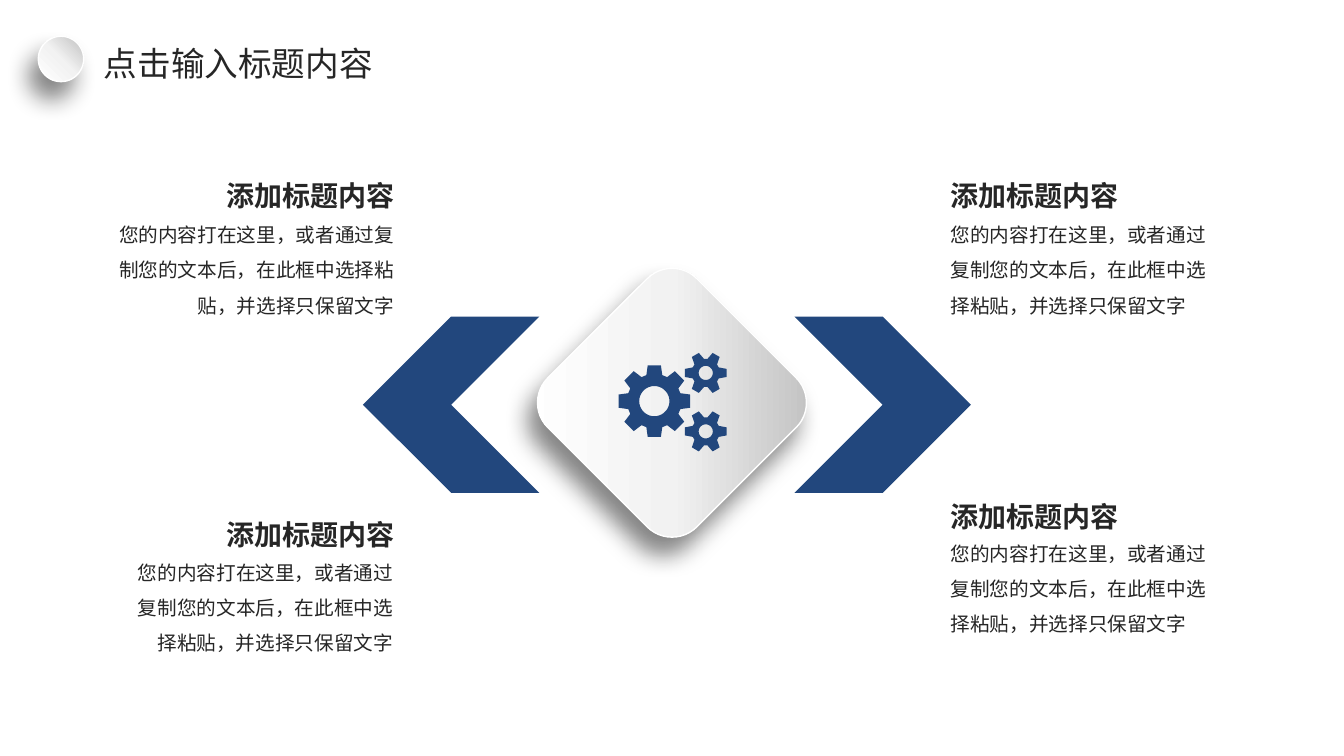
import math
from dataclasses import dataclass

from lxml import etree
from pptx import Presentation, util as u
from pptx.dml.color import RGBColor
from pptx.enum import shapes, text
from pptx.oxml.ns import nsdecls, qn

COLORS = {"ink": "262626", "navy": "22477D", "white": "FFFFFF",
          "mist": "F2F2F2", "silver": "BFBFBF", "shadow": "0D0D0D"}
FONT = "Noto Sans CJK SC"
HEADING = "添加标题内容"
DETAIL = "您的内容打在这里，或者通过复制您的文本后，在此框中选择粘贴，并选择只保留文字"
LEFT, RIGHT = text.PP_ALIGN.LEFT, text.PP_ALIGN.RIGHT
TOP, MIDDLE = text.MSO_ANCHOR.TOP, text.MSO_ANCHOR.MIDDLE
CHEVRON_SIZE, CHEVRON_TOP = 1.75, 3.14


@dataclass
class Topic:
    heading_left: float
    heading_top: float
    detail_left: float
    detail_top: float
    detail_width: float
    align: text.PP_ALIGN


@dataclass
class Gear:
    """Centre and radii in inches; half-angles of tooth tip and base in degrees."""
    x: float
    y: float
    tip: float
    root: float
    hole: float
    teeth: int
    tip_half: float
    root_half: float


TOPICS = [
    Topic(1.32, 1.77, 1.08, 2.3, 2.93, RIGHT),
    Topic(9.33, 1.77, 9.33, 2.3, 2.77, LEFT),
    Topic(1.32, 5.13, 1.15, 5.65, 2.85, RIGHT),
    Topic(9.33, 4.96, 9.33, 5.46, 2.77, LEFT),
]
GEARS = [Gear(6.49, 3.98, 0.36, 0.27, 0.15, 8, 10.5, 17)] + [
    Gear(7, y, 0.21, 0.14, 0.07, 6, 11, 23) for y in (3.7, 4.28)]


def rgb(name: str) -> RGBColor:
    return RGBColor.from_string(COLORS[name])


def place(shape, left: float, top: float, width: float, height: float) -> None:
    box = {"left": left, "top": top, "width": width, "height": height}
    for side, inches in box.items():
        setattr(shape, side, u.Inches(inches))


def write(shape, words: str, size: int, align: text.PP_ALIGN, anchor: text.MSO_ANCHOR,
          margins: tuple[float, float], bold: bool = False, wrap: bool = True,
          spacing: float = 1.0) -> None:
    """Fill a shape with one paragraph; margins are (sides, top and bottom)."""
    frame = shape.text_frame
    side, edge = (u.Inches(margin) for margin in margins)
    frame_format = {"auto_size": text.MSO_AUTO_SIZE.NONE, "word_wrap": wrap,
                    "vertical_anchor": anchor, "margin_left": side,
                    "margin_right": side, "margin_top": edge, "margin_bottom": edge}
    for name, value in frame_format.items():
        setattr(frame, name, value)
    paragraph = frame.paragraphs[0]
    paragraph.alignment, paragraph.line_spacing = align, spacing
    run = paragraph.add_run()
    run.text = words
    for name, value in {"name": FONT, "size": u.Pt(size), "bold": bold}.items():
        setattr(run.font, name, value)
    run.font.color.rgb = rgb("ink")
    east_asian = etree.SubElement(run.font._element, qn("a:ea"))
    east_asian.set("typeface", FONT)


def paint_navy(shape) -> None:
    shape.shadow.inherit = False
    shape.fill.solid()
    shape.fill.fore_color.rgb = rgb("navy")
    shape.line.fill.background()


def add_glossy(parent, preset: shapes.MSO_SHAPE, left: float, top: float,
               size: float, rotation: float = 0):
    """Add a silver-to-white shape with a white rim and a soft shadow."""
    shape = parent.add_shape(preset, *map(u.Inches, (left, top, size, size)))
    shape.rotation = rotation
    shape.shadow.inherit = False
    shape.line.color.rgb = rgb("white")
    shape.line.width = u.Pt(1)
    shape.fill.gradient()
    gradient = shape._element.spPr.find(qn("a:gradFill"))
    stops = "".join(
        f'<a:gs pos="{position * 1000}"><a:srgbClr val="{COLORS[name]}"/></a:gs>'
        for position, name in ((0, "silver"), (50, "mist"), (100, "white")))
    gradient.getparent().replace(gradient, etree.fromstring(
        f'<a:gradFill {nsdecls("a")} rotWithShape="1"><a:gsLst>{stops}</a:gsLst>'
        f'<a:lin ang="{135 * 60000}" scaled="0"/></a:gradFill>'))
    shape._element.spPr.find(qn("a:effectLst")).append(etree.fromstring(
        f'<a:outerShdw {nsdecls("a")} blurRad="{u.Pt(17)}" dist="{u.Pt(14)}" '
        f'dir="{120 * 60000}" algn="ctr" rotWithShape="0">'
        f'<a:srgbClr val="{COLORS["shadow"]}"><a:alpha val="50000"/></a:srgbClr>'
        f'</a:outerShdw>'))
    return shape


def gear_contours(gear: Gear) -> list[list[tuple[int, int]]]:
    def point(radius: float, degrees: float) -> tuple[int, int]:
        angle = math.radians(degrees)
        return (u.Inches(gear.x + radius * math.cos(angle)),
                u.Inches(gear.y + radius * math.sin(angle)))

    tooth = ((gear.root, -gear.root_half), (gear.tip, -gear.tip_half),
             (gear.tip, gear.tip_half), (gear.root, gear.root_half))
    rim = [point(radius, 360 / gear.teeth * index + offset)
           for index in range(gear.teeth) for radius, offset in tooth]
    hole = [point(gear.hole, -degrees) for degrees in range(0, 360, 10)]
    return [rim, hole]


def add_gears(parent) -> None:
    contours = [contour for gear in GEARS for contour in gear_contours(gear)]
    builder = parent.build_freeform(*contours[0][0])
    for contour in contours:
        builder.move_to(*contour[0])
        builder.add_line_segments(contour[1:], close=True)
    paint_navy(builder.convert_to_shape())


def add_topic(parent, topic: Topic) -> None:
    detail = parent.add_textbox(0, 0, 0, 0)
    place(detail, topic.detail_left, topic.detail_top, topic.detail_width, 0.64)
    write(detail, DETAIL, 14, topic.align, MIDDLE, (0.1, 0), spacing=1.5)
    heading = parent.add_textbox(0, 0, 0, 0)
    place(heading, topic.heading_left, topic.heading_top, 2.69, 0.27)
    write(heading, HEADING, 20, topic.align, TOP, (0.1, 0), bold=True, wrap=False)


def main() -> None:
    deck = Presentation()
    deck.slide_width, deck.slide_height = u.Inches(13.33), u.Inches(7.5)
    slide = deck.slides.add_slide(deck.slide_layouts[5])

    title = slide.shapes.title
    place(title, 1.03, 0.35, 3.1, 0.55)
    write(title, "点击输入标题内容", 24, LEFT, MIDDLE, (0, 0.05))
    add_glossy(slide.shapes, shapes.MSO_SHAPE.OVAL, 0.38, 0.36, 0.45)

    for topic in TOPICS:
        add_topic(slide.shapes, topic)

    emblem = slide.shapes.add_group_shape().shapes
    add_glossy(emblem, shapes.MSO_SHAPE.ROUNDED_RECTANGLE, 5.62, 2.95, 2.09, 45)
    add_gears(emblem)

    for left, rotation in ((3.6, 180), (7.88, 0)):
        chevron = slide.shapes.add_shape(shapes.MSO_SHAPE.CHEVRON, 0, 0, 0, 0)
        place(chevron, left, CHEVRON_TOP, CHEVRON_SIZE, CHEVRON_SIZE)
        chevron.rotation = rotation
        paint_navy(chevron)

    deck.save("out.pptx")


if __name__ == "__main__":
    main()
